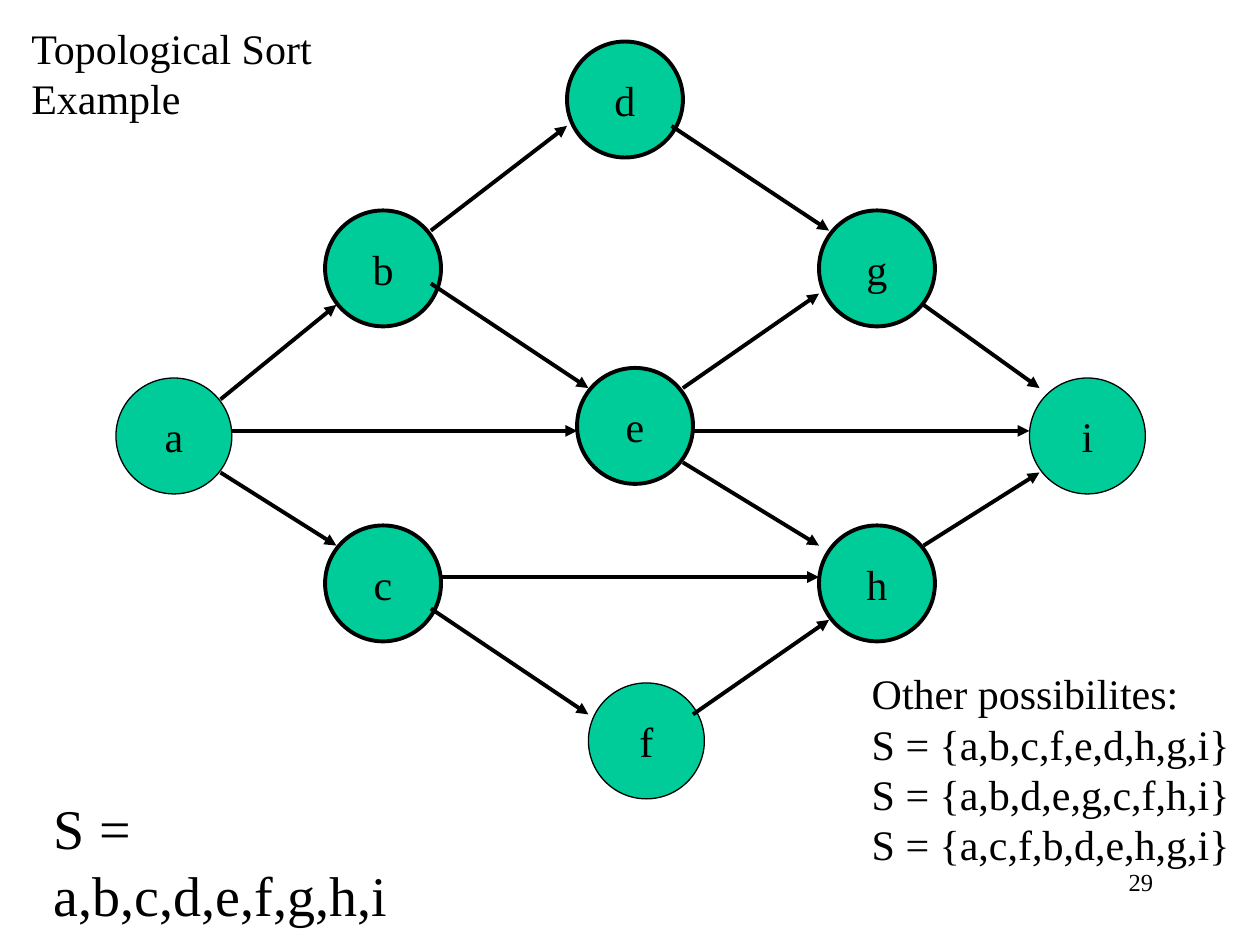
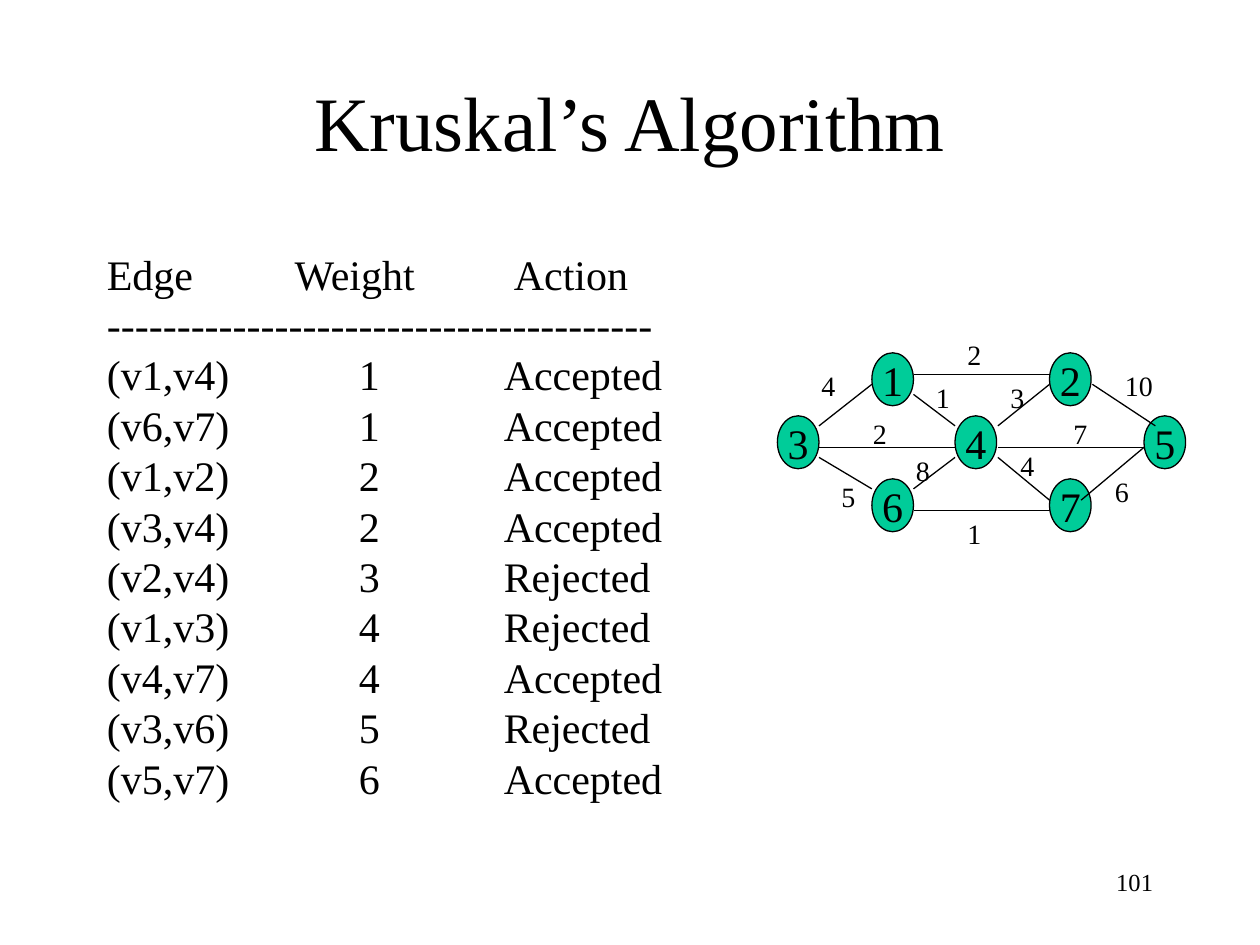
from dataclasses import dataclass

from lxml.etree import SubElement
from pptx import Presentation
from pptx.dml.color import RGBColor as Rgb
from pptx.enum.shapes import MSO_CONNECTOR as Connector, MSO_SHAPE as Preset
from pptx.enum.text import MSO_ANCHOR as Anchor, MSO_AUTO_SIZE as AutoSize, PP_ALIGN as Align
from pptx.oxml.ns import qn
from pptx.util import Inches, Pt


@dataclass(frozen=True)
class Theme:
    font: str = "Times New Roman"
    ink: Rgb = Rgb(0x00, 0x00, 0x00)
    paper: Rgb = Rgb(0xFF, 0xFF, 0xFF)
    node: Rgb = Rgb(0x00, 0xCC, 0x99)
    title: int = 44
    answer: int = 32
    body: int = 24
    weight: int = 16
    footer: int = 14
    thin: float = 0.75
    thick: float = 2.25


THEME = Theme()

SORT_NODE = (0.92, 0.92)
SORT_NODES = {
    "a": (0.92, 3, THEME.thin),
    "b": (2.58, 1.67, THEME.thick),
    "c": (2.58, 4.17, THEME.thick),
    "i": (8.17, 3, THEME.thin),
    "g": (6.5, 1.67, THEME.thick),
    "h": (6.5, 4.17, THEME.thick),
    "e": (4.58, 2.92, THEME.thick),
    "d": (4.5, 0.33, THEME.thick),
    "f": (4.67, 5.42, THEME.thin),
}
SORT_EDGES = {
    "ab": ((1.75, 3.17), (2.67, 2.42)),
    "ac": ((1.75, 3.75), (2.67, 4.33)),
    "ae": ((1.83, 3.42), (4.58, 3.42)),
    "bd": ((3.42, 1.83), (4.5, 1)),
    "cf": ((3.42, 4.83), (4.67, 5.67)),
    "fh": ((5.5, 5.67), (6.58, 4.92)),
    "hi": ((7.33, 4.33), (8.25, 3.75)),
    "dg": ((5.33, 1), (6.58, 1.83)),
    "gi": ((7.33, 2.42), (8.25, 3.08)),
    "be": ((3.42, 2.25), (4.67, 3.08)),
    "eg": ((5.42, 3.08), (6.5, 2.33)),
    "ei": ((5.5, 3.42), (8.17, 3.42)),
    "eh": ((5.42, 3.67), (6.5, 4.33)),
    "ch": ((3.5, 4.58), (6.5, 4.58)),
}
OTHER_ORDERS = ["a,b,c,f,e,d,h,g,i", "a,b,d,e,g,c,f,h,i", "a,c,f,b,d,e,h,g,i"]

TREE_NODE = (0.33, 0.42)
TREE_NODES = {
    "3": (6.17, 3.3),
    "1": (6.92, 2.8),
    "2": (8.33, 2.8),
    "5": (9.08, 3.3),
    "6": (6.92, 3.8),
    "7": (8.33, 3.8),
    "4": (7.58, 3.3),
}
WEIGHTED_EDGES = [
    ((6.5, 3.55), (7.58, 3.55), 2, (6.83, 3.26)),
    ((7.25, 3.13), (7.58, 3.38), 1, (7.33, 2.97)),
    ((7.58, 3.63), (7.25, 3.88), 8, (7.17, 3.55)),
    ((9.08, 3.55), (8.58, 3.97), 6, (8.75, 3.72)),
    ((8.67, 3.05), (9.17, 3.38), 10, (8.83, 2.88)),
    ((9.08, 3.55), (7.92, 3.55), 7, (8.42, 3.26)),
    ((7.25, 2.97), (8.33, 2.97), 2, (7.58, 2.63)),
    ((6.5, 3.63), (6.92, 3.88), 5, (6.58, 3.76)),
    ((6.92, 3.05), (6.5, 3.38), 4, (6.42, 2.88)),
    ((7.25, 4.05), (8.33, 4.05), 1, (7.58, 4.05)),
    ((8.33, 3.05), (7.92, 3.38), 3, (7.92, 2.97)),
    ((7.92, 3.63), (8.33, 3.97), 4, (8, 3.51)),
]
STEPS = [
    ("(v1,v4)", 1, "Accepted"),
    ("(v6,v7)", 1, "Accepted"),
    ("(v1,v2)", 2, "Accepted"),
    ("(v3,v4)", 2, "Accepted"),
    ("(v2,v4)", 3, "Rejected"),
    ("(v1,v3)", 4, "Rejected"),
    ("(v4,v7)", 4, "Accepted"),
    ("(v3,v6)", 5, "Rejected"),
    ("(v5,v7)", 6, "Accepted"),
]
HEADER_TABS = (1.49, 3.23)
STEP_TABS = (2, 3.15)


def style_text(frame, lines, size, align):
    frame.text = "\n".join(lines)
    for paragraph in frame.paragraphs:
        paragraph.alignment = align
        paragraph.font.name = THEME.font
        paragraph.font.size = Pt(size)
        paragraph.font.color.rgb = THEME.ink


def add_text(slide, box, lines, size, align=Align.LEFT, anchor=Anchor.TOP, wrap=False):
    frame = slide.shapes.add_textbox(*map(Inches, box)).text_frame
    frame.word_wrap = wrap
    frame.auto_size = AutoSize.NONE if wrap else AutoSize.SHAPE_TO_FIT_TEXT
    frame.vertical_anchor = anchor
    style_text(frame, lines, size, align)
    return frame


def add_node(slide, name, corner, size, outline):
    node = slide.shapes.add_shape(Preset.OVAL, *map(Inches, corner + size))
    node.shadow.inherit = False
    node.fill.solid()
    node.fill.fore_color.rgb = THEME.node
    node.line.color.rgb = THEME.ink
    node.line.width = Pt(outline)
    node.text_frame.word_wrap = False
    node.text_frame.vertical_anchor = Anchor.MIDDLE
    style_text(node.text_frame, [name], THEME.body, Align.CENTER)


def add_edge(slide, start, end, width, arrow=False):
    edge = slide.shapes.add_connector(Connector.STRAIGHT, *map(Inches, start + end))
    edge.line.color.rgb = THEME.ink
    edge.line.width = Pt(width)
    properties = edge.line._get_or_add_ln().getparent()
    if arrow:
        SubElement(properties.find(qn("a:ln")), qn("a:tailEnd"), type="triangle")
    SubElement(properties, qn("a:effectLst"))


def set_tabs(paragraph, stops):
    properties = paragraph._p.get_or_add_pPr()
    tabs = SubElement(properties, qn("a:tabLst"))
    properties.insert(0, tabs)
    for stop in stops:
        SubElement(tabs, qn("a:tab"), pos=str(Inches(stop)), algn="l")


def add_slide(deck, number):
    slide = deck.slides.add_slide(deck.slide_layouts[6])
    slide.background.fill.solid()
    slide.background.fill.fore_color.rgb = THEME.paper
    add_text(slide, (7.17, 6.83, 2.08, 0.5), [str(number)], THEME.footer, Align.RIGHT, wrap=True)
    return slide


def add_steps(slide):
    lines = ["Edge\tWeight\tAction", "-" * 39]
    lines += ["\t".join(map(str, step)) for step in STEPS]
    frame = add_text(slide, (0.75, 1.92, 4.7, 4.49), lines, THEME.body, wrap=True)
    header, rule, *steps = frame.paragraphs
    set_tabs(header, HEADER_TABS)
    for step in steps:
        set_tabs(step, STEP_TABS)


def build_topological_sort(deck):
    slide = add_slide(deck, 29)
    for name, (left, top, outline) in SORT_NODES.items():
        add_node(slide, name, (left, top), SORT_NODE, outline)
    for start, end in SORT_EDGES.values():
        add_edge(slide, start, end, THEME.thick, arrow=True)
    add_text(slide, (0.33, 6.25, 3.56, 0.63), ["S = a,b,c,d,e,f,g,h,i"], THEME.answer)
    others = ["Other possibilites:"] + [f"S = {{{order}}}" for order in OTHER_ORDERS]
    add_text(slide, (6.82, 5.25, 3.04, 1.7), others, THEME.body)
    add_text(slide, (0.15, 0.13, 2.53, 0.9), ["Topological Sort", "Example"], THEME.body)


def build_kruskal(deck):
    slide = add_slide(deck, 101)
    add_steps(slide)
    add_text(slide, (0.75, 0.33, 8.5, 1.25), ["Kruskal’s Algorithm"], THEME.title,
             Align.CENTER, Anchor.MIDDLE, wrap=True)
    for name, corner in TREE_NODES.items():
        add_node(slide, name, corner, TREE_NODE, THEME.thin)
    for start, end, weight, corner in WEIGHTED_EDGES:
        add_edge(slide, start, end, THEME.thin)
        label = str(weight)
        add_text(slide, corner + (0.2 + 0.11 * len(label), 0.37), [label], THEME.weight)


def main():
    deck = Presentation()
    deck.slide_width, deck.slide_height = Inches(10), Inches(7.5)
    build_topological_sort(deck)
    build_kruskal(deck)
    deck.save("out.pptx")


if __name__ == "__main__":
    main()
